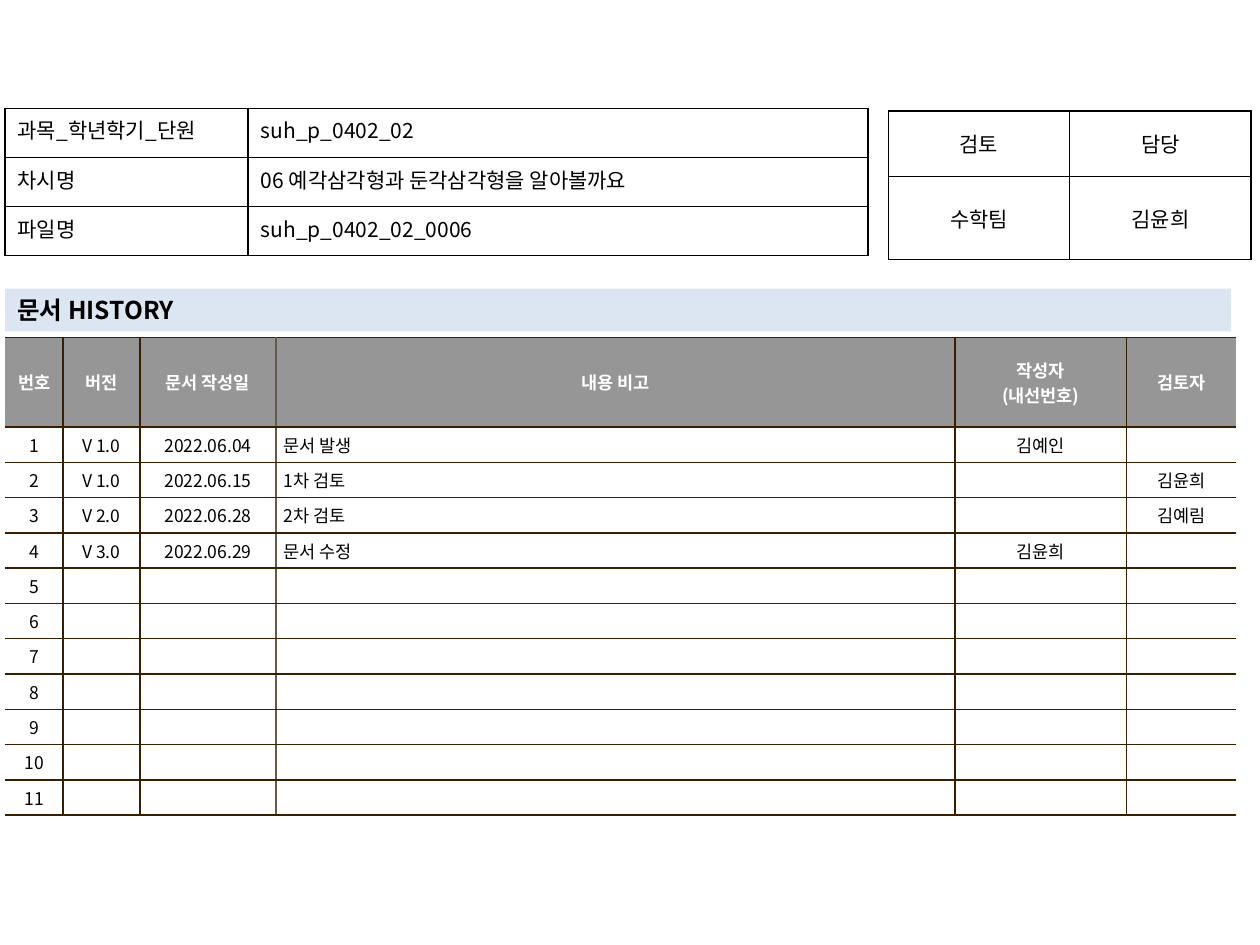
import pptx
import pptx.util
import pptx.dml.color
import pptx.enum.text
import pptx.enum.shapes
import pptx.oxml.ns
import lxml.etree

INCH = pptx.util.Inches
QN = pptx.oxml.ns.qn
ALIGN = pptx.enum.text.PP_ALIGN
ANCHOR = pptx.enum.text.MSO_ANCHOR
FONT = "Noto Sans CJK KR"
BLACK, WHITE, GRAY = "000000", "FFFFFF", "969696"
BROWN, TAUPE, BLUE = "362000", "645B4C", "DCE6F2"

# Content
LESSON = [
    ("과목_학년학기_단원 ", "suh_p_0402_02"),
    ("차시명", "06 예각삼각형과 둔각삼각형을 알아볼까요"),
    ("파일명", "suh_p_0402_02_0006"),
]
REVIEW = [("검토", "담당"), ("수학팀", "김윤희")]
HEADING = "문서 HISTORY"
HEADS = ("번호", "버전", "문서 작성일", "내용 비고", "작성자\n(내선번호)", "검토자")
ENTRIES = [
    ("V 1.0", "2022.06.04", "문서 발생", "김예인", ""),
    ("V 1.0", "2022.06.15", "1차 검토", "", "김윤희"),
    ("V 2.0", "2022.06.28", "2차 검토", "", "김예림"),
    ("V 3.0", "2022.06.29", "문서 수정", "김윤희", ""),
]
COUNT = 11
NOTE = 3  # column of the remarks

# Grid
LEFT = 0.04
LESSON_COLS, LESSON_ROWS = [1.93, 4.92], [0.39] * 3
REVIEW_COLS, REVIEW_ROWS = [1.44] * 2, [0.52, 0.66]
LOG_COLS, LOG_ROWS = [0.46, 0.61, 1.08, 5.39, 1.36, 0.87], [0.71] + [0.25] * COUNT


def color(code):
    return pptx.dml.color.RGBColor.from_string(code)


def write(frame, text, size=12, ink=BLACK, bold=False, align=ALIGN.LEFT, hang=0):
    for i, line in enumerate(text.split("\n")):
        para = frame.paragraphs[0] if i == 0 else frame.add_paragraph()
        para.alignment = align
        if hang:
            props = para._p.get_or_add_pPr()
            props.set("marL", str(INCH(hang)))
            props.set("indent", str(-INCH(hang)))
        if not line:  # keeps an empty row from growing
            end = lxml.etree.SubElement(para._p, QN("a:endParaRPr"))
            end.set("sz", str(size * 100))
            continue
        run = para.add_run()
        run.text = line
        font = run.font
        font.size, font.bold, font.name = pptx.util.Pt(size), bold, FONT
        font.color.rgb = color(ink)
        east = lxml.etree.SubElement(run._r.get_or_add_rPr(), QN("a:ea"))
        east.set("typeface", FONT)


def border(cell, sides):
    """Draw the sides, a dict of L, R, T, B to a colour or None."""
    props = cell._tc.get_or_add_tcPr()
    for i, side in enumerate("LRTB"):
        line = lxml.etree.Element(QN("a:ln" + side), w=str(pptx.util.Pt(1)))
        if sides[side]:
            fill = lxml.etree.SubElement(line, QN("a:solidFill"))
            lxml.etree.SubElement(fill, QN("a:srgbClr"), val=sides[side])
        else:
            lxml.etree.SubElement(line, QN("a:noFill"))
        props.insert(i, line)


def grid(slide, left, top, cols, rows):
    frame = slide.shapes.add_table(
        len(rows), len(cols), INCH(left), INCH(top), INCH(sum(cols)), INCH(sum(rows)))
    table = frame.table
    table.first_row = table.horz_banding = False
    for col, wide in zip(table.columns, cols):
        col.width = INCH(wide)
    for row, high in zip(table.rows, rows):
        row.height = INCH(high)
    return table


def fill_form(table, data, aligns, anchor):
    for r, row in enumerate(data):
        for c, text in enumerate(row):
            cell = table.cell(r, c)
            cell.vertical_anchor = anchor
            write(cell.text_frame, text, align=aligns[c])
            cell.fill.background()
            border(cell, dict.fromkeys("LRTB", BLACK))


def fill_log(table):
    blank = ("",) * (len(HEADS) - 1)
    body = ENTRIES + [blank] * (COUNT - len(ENTRIES))
    data = [HEADS] + [(str(i),) + row for i, row in enumerate(body, 1)]
    # Vertical rules: open at both ends, lighter before the remarks
    rules = [None] + [BROWN] * (len(HEADS) - 1) + [None]
    rules[NOTE] = TAUPE
    for r, row in enumerate(data):
        head = r == 0
        for c, text in enumerate(row):
            cell = table.cell(r, c)
            cell.vertical_anchor = ANCHOR.MIDDLE
            cell.margin_left = cell.margin_right = INCH(0.06)
            cell.margin_top = cell.margin_bottom = INCH(0.04)
            note = c == NOTE and not head
            write(cell.text_frame, text, size=10, bold=head,
                  ink=WHITE if head else BLACK,
                  align=ALIGN.LEFT if note else ALIGN.CENTER,
                  hang=0.19 if note else 0)
            cell.fill.solid()
            cell.fill.fore_color.rgb = color(GRAY if head else WHITE)
            border(cell, {"L": rules[c], "R": rules[c + 1], "T": BROWN, "B": BROWN})


def main():
    deck = pptx.Presentation()
    deck.slide_width, deck.slide_height = INCH(10), INCH(7.5)
    slide = deck.slides.add_slide(deck.slide_layouts[6])

    # Change log
    fill_log(grid(slide, LEFT, 2.68, LOG_COLS, LOG_ROWS))

    # Sign-off box
    fill_form(grid(slide, 7.05, 0.88, REVIEW_COLS, REVIEW_ROWS), REVIEW,
              [ALIGN.CENTER] * 2, ANCHOR.MIDDLE)

    # Heading band
    band = slide.shapes.add_shape(
        pptx.enum.shapes.MSO_SHAPE.RECTANGLE,
        INCH(LEFT), INCH(2.29), INCH(9.73), INCH(0.34))
    band.shadow.inherit = False
    band.fill.solid()
    band.fill.fore_color.rgb = color(BLUE)
    band.line.fill.background()
    band.text_frame.word_wrap = True
    band.text_frame.vertical_anchor = ANCHOR.MIDDLE
    write(band.text_frame, HEADING, size=14, bold=True)

    # Lesson details
    fill_form(grid(slide, LEFT, 0.86, LESSON_COLS, LESSON_ROWS), LESSON,
              [ALIGN.JUSTIFY, ALIGN.LEFT], ANCHOR.TOP)

    deck.save("out.pptx")


if __name__ == "__main__":
    main()
